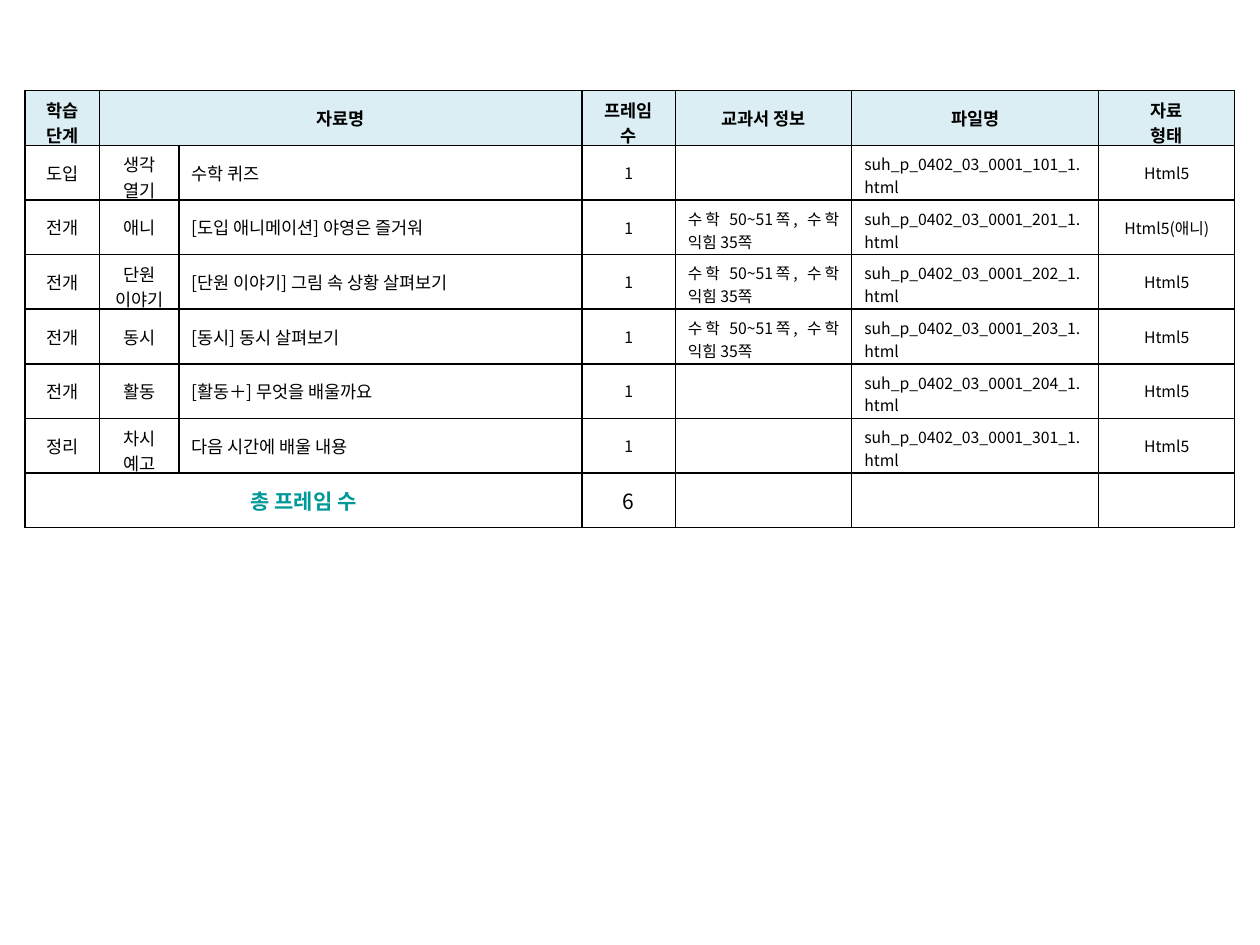
"""Build a lesson material list as one bordered table slide."""
from dataclasses import dataclass

from lxml.etree import SubElement
from pptx import Presentation
from pptx.dml.color import RGBColor
from pptx.enum.text import MSO_ANCHOR, PP_ALIGN as Align
from pptx.oxml.ns import qn
from pptx.util import Inches, Pt


@dataclass(frozen=True)
class Theme:
    font: str = "Noto Sans CJK KR"
    ink: str = "000000"
    accent: str = "009999"
    header: str = "DBEEF4"
    small: int = 9
    body: int = 10
    total: int = 12


THEME = Theme()
PAGES = "수학 50~51쪽, 수학 익힘 35쪽"
HEADINGS = ["학습 단계", "자료명", "", "프레임 수", "교과서 정보", "파일명", "자료\n형태"]
MATERIALS = [
    ("도입", "생각\n열기", "수학 퀴즈", "", "101", "Html5"),
    ("전개", "애니", "[도입 애니메이션] 야영은 즐거워", PAGES, "201", "Html5(애니)"),
    ("전개", "단원\n이야기", "[단원 이야기] 그림 속 상황 살펴보기", PAGES, "202", "Html5"),
    ("전개", "동시", "[동시] 동시 살펴보기", PAGES, "203", "Html5"),
    ("전개", "활동", "[활동＋] 무엇을 배울까요", "", "204", "Html5"),
    ("정리", "차시 예고", "다음 시간에 배울 내용", "", "301", "Html5"),
]
TOTALS = ["총 프레임 수", "", "", str(len(MATERIALS)), "", "", ""]
COLUMN_WIDTHS = [0.59, 0.63, 3.2, 0.74, 1.4, 1.96, 1.08]
COLUMN_ALIGNS = [Align.CENTER, Align.CENTER, Align.LEFT, Align.CENTER,
                 Align.JUSTIFY, Align.JUSTIFY, Align.CENTER]
COLUMN_SIZES = [THEME.body] * 3 + [THEME.small] * 4
TWO_LINE_TEXTS = {"학습 단계", "프레임 수", "차시 예고", PAGES}
TWO_LINE_BOTTOMS = {THEME.body: -0.02, THEME.small: 0.01}
TABLE_LEFT, TABLE_TOP = 0.2, 0.72
ROW_HEIGHT = 3.47 / (len(MATERIALS) + 2)


def write(cell, text, size=THEME.body, color=THEME.ink, bold=False, align=Align.CENTER):
    cell.vertical_anchor = MSO_ANCHOR.MIDDLE
    if text in TWO_LINE_TEXTS or "\n" in text or text.endswith(".html"):
        cell.margin_bottom = Inches(TWO_LINE_BOTTOMS[size])
    frame = cell.text_frame
    frame.text = text
    for paragraph in frame.paragraphs:
        paragraph.alignment = align
        for run in paragraph.runs:
            font = run.font
            font.name, font.size, font.bold = THEME.font, Pt(size), bold
            font.color.rgb = RGBColor.from_string(color)
            font._element.set("kern", "0")
            SubElement(font._element, qn("a:ea"), typeface=THEME.font)
        if not paragraph.runs:
            SubElement(paragraph._p, qn("a:endParaRPr"), sz=str(size * 100))


def outline(cell):
    properties = cell._tc.get_or_add_tcPr()
    for index, side in enumerate(("lnL", "lnR", "lnT", "lnB")):
        line = properties.makeelement(qn(f"a:{side}"), w=str(Pt(1)))
        fill = SubElement(line, qn("a:solidFill"))
        SubElement(fill, qn("a:srgbClr"), val=THEME.ink)
        properties.insert(index, line)


def paint(cell, color=None):
    if color:
        cell.fill.solid()
        cell.fill.fore_color.rgb = RGBColor.from_string(color)
    else:
        cell.fill.background()
    outline(cell)


def build_table(slide):
    last = len(MATERIALS) + 1
    table = slide.shapes.add_table(
        last + 1, len(COLUMN_WIDTHS), Inches(TABLE_LEFT), Inches(TABLE_TOP),
        Inches(sum(COLUMN_WIDTHS)), Inches(ROW_HEIGHT * (last + 1))).table
    table.first_row = table.horz_banding = False
    for column, width in zip(table.columns, COLUMN_WIDTHS):
        column.width = Inches(width)

    rows = [HEADINGS]
    for stage, kind, title, pages, number, form in MATERIALS:
        rows.append([stage, kind, title, "1", pages,
                     f"suh_p_0402_03_0001_{number}_1.html", form])
    rows.append(TOTALS)

    for r, texts in enumerate(rows):
        for c, text in enumerate(texts):
            cell = table.cell(r, c)
            if r == 0:
                write(cell, text, bold=True)
            elif r == last:
                label = c == 0
                write(cell, text, size=THEME.total, bold=label,
                      color=THEME.accent if label else THEME.ink)
            else:
                write(cell, text, size=COLUMN_SIZES[c], align=COLUMN_ALIGNS[c])
            paint(cell, THEME.header if r == 0 else None)

    table.cell(0, 1).merge(table.cell(0, 2))
    table.cell(last, 0).merge(table.cell(last, 2))


def main():
    presentation = Presentation()
    presentation.slide_width, presentation.slide_height = Inches(10), Inches(7.5)
    build_table(presentation.slides.add_slide(presentation.slide_layouts[6]))
    presentation.save("out.pptx")


if __name__ == "__main__":
    main()
